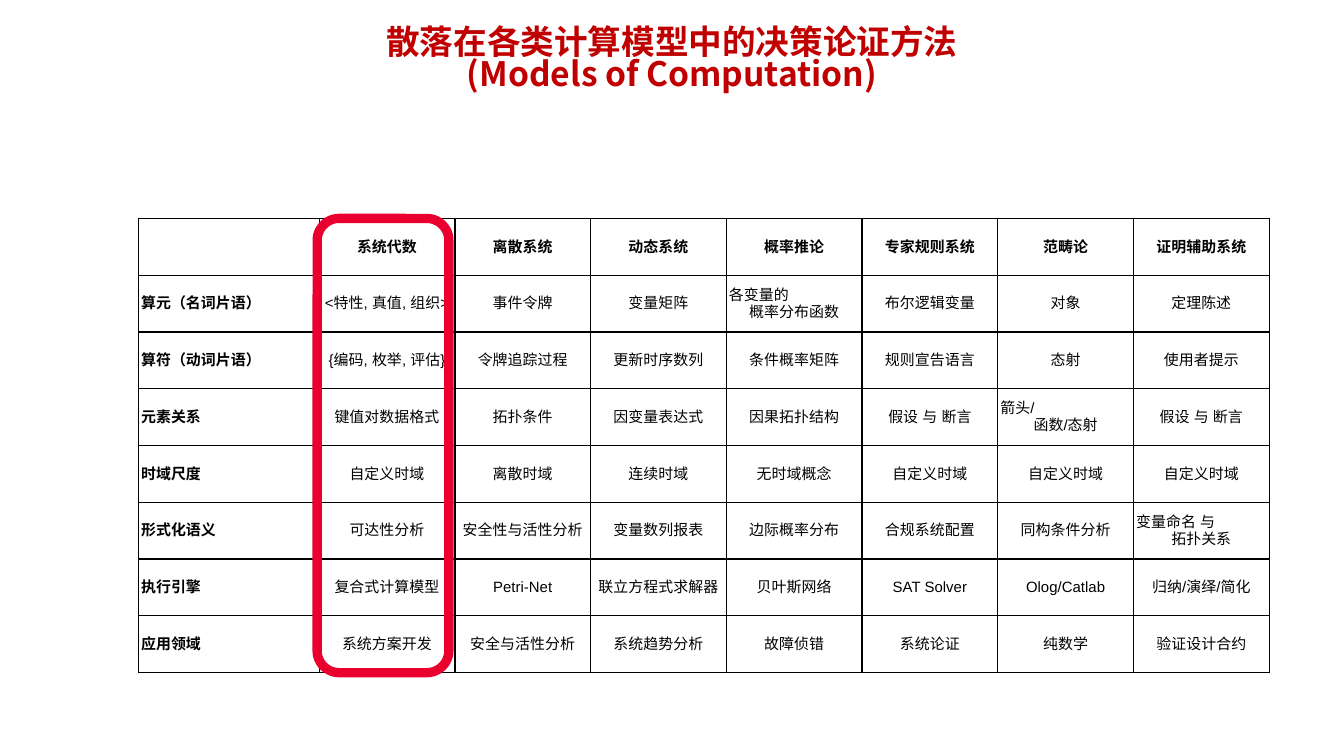
from dataclasses import dataclass

from lxml import etree
from pptx import Presentation
from pptx import util as u
from pptx.dml.color import RGBColor
from pptx.enum import shapes, text
from pptx.oxml import ns

PX = 4572


@dataclass(frozen=True)
class Theme:
    """Colours, fonts and type sizes of the slide."""

    title: str = "C00000"
    ink: str = "000000"
    accent: str = "E9002F"
    title_font: str = "Noto Sans CJK SC"
    body_font: str = "Arial"
    title_size: int = 18
    body_size: int = 8
    border: float = 0.75
    frame: int = 5


THEME = Theme()

TITLE = "散落在各类计算模型中的决策论证方法\v(Models of Computation)"

MODELS = [
    ["", "系统代数", "离散系统", "动态系统", "概率推论", "专家规则系统", "范畴论", "证明辅助系统"],
    ["算元（名词片语）", "<特性, 真值, 组织>", "事件令牌", "变量矩阵", "各变量的\n概率分布函数",
     "布尔逻辑变量", "对象", "定理陈述"],
    ["算符（动词片语）", "{编码, 枚举, 评估}", "令牌追踪过程", "更新时序数列", "条件概率矩阵",
     "规则宣告语言", "态射", "使用者提示"],
    ["元素关系", "键值对数据格式", "拓扑条件", "因变量表达式", "因果拓扑结构",
     "假设 与 断言", "箭头/\n函数/态射", "假设 与 断言"],
    ["时域尺度", "自定义时域", "离散时域", "连续时域", "无时域概念",
     "自定义时域", "自定义时域", "自定义时域"],
    ["形式化语义", "可达性分析", "安全性与活性分析", "变量数列报表", "边际概率分布",
     "合规系统配置", "同构条件分析", "变量命名 与\n拓扑关系"],
    ["执行引擎", "复合式计算模型", "Petri-Net", "联立方程式求解器", "贝叶斯网络",
     "SAT Solver", "Olog/Catlab", "归纳/演绎/简化"],
    ["应用领域", "系统方案开发", "安全与活性分析", "系统趋势分析", "故障侦错",
     "系统论证", "纯数学", "验证设计合约"],
]


def scale(*lengths):
    """Turn px lengths into EMU."""
    return [u.Emu(length * PX) for length in lengths]


def set_font(paragraph, name, size, color, bold):
    """Set the font of a whole paragraph, East Asian glyphs included."""
    font = paragraph.font
    font.name, font.size, font.bold = name, u.Pt(size), bold
    font.color.rgb = RGBColor.from_string(color)
    latin = paragraph._p.find(".//" + ns.qn("a:latin"))
    east_asian = etree.Element(ns.qn("a:ea"), typeface=name)
    latin.addnext(east_asian)


def set_margins(holder, horizontal, vertical):
    """Set equal left and right, and equal top and bottom margins in px."""
    holder.margin_left, holder.margin_right = scale(horizontal, horizontal)
    holder.margin_top, holder.margin_bottom = scale(vertical, vertical)


def add_borders(cell):
    """Draw a solid line on all four sides of a cell."""
    properties = cell._tc.get_or_add_tcPr()
    for index, side in enumerate(("lnL", "lnR", "lnT", "lnB")):
        line = etree.Element(ns.qn(f"a:{side}"), w=str(u.Pt(THEME.border)))
        fill = etree.SubElement(line, ns.qn("a:solidFill"))
        etree.SubElement(fill, ns.qn("a:srgbClr"), val=THEME.ink)
        properties.insert(index, line)


def add_title(slide, left, top, width, height):
    """Place the centred two-line title."""
    frame = slide.shapes.add_textbox(*scale(left, top, width, height)).text_frame
    frame.word_wrap = True
    frame.vertical_anchor = text.MSO_ANCHOR.MIDDLE
    set_margins(frame, 26, 14)
    paragraph = frame.paragraphs[0]
    paragraph.text = TITLE
    paragraph.alignment = text.PP_ALIGN.CENTER
    paragraph.line_spacing = 0.8
    set_font(paragraph, THEME.title_font, THEME.title_size, THEME.title, True)


def fill_cell(cell, content, is_label, bold):
    """Write one cell; the lead line of a two-line cell stays left."""
    cell.fill.background()
    add_borders(cell)
    cell.vertical_anchor = text.MSO_ANCHOR.MIDDLE
    set_margins(cell, 4, 4)
    cell.text_frame.text = content
    paragraphs = cell.text_frame.paragraphs
    for paragraph in paragraphs:
        is_lead = paragraph is not paragraphs[-1]
        paragraph.alignment = (
            text.PP_ALIGN.LEFT if is_label or is_lead else text.PP_ALIGN.CENTER
        )
        set_font(paragraph, THEME.body_font, THEME.body_size, THEME.ink, bold)


def add_model_table(slide, left, top, width, height):
    """Place the table of models and frame its first model column."""
    label_width = 269
    model_count = len(MODELS[0]) - 1
    model_width = (width - label_width) // model_count
    table = slide.shapes.add_table(
        len(MODELS), model_count + 1, *scale(left, top, width, height)
    ).table
    table.first_row = table.horz_banding = False
    widths = scale(label_width, *[model_width] * model_count)
    for column, column_width in zip(table.columns, widths):
        column.width = column_width
    for row, contents in enumerate(MODELS):
        for column, content in enumerate(contents):
            is_label = column == 0
            fill_cell(table.cell(row, column), content, is_label, is_label or row == 0)
    add_highlight(slide, left + label_width - 3, top, model_width - 6, height)


def add_highlight(slide, left, top, width, height):
    """Place the rounded outline around the highlighted column."""
    outline = slide.shapes.add_shape(
        shapes.MSO_SHAPE.ROUNDED_RECTANGLE, *scale(left, top, width, height)
    )
    outline.shadow.inherit = False
    outline.fill.background()
    outline.line.color.rgb = RGBColor.from_string(THEME.accent)
    outline.line.width = u.Pt(THEME.frame)


def main():
    """Build and save the slide."""
    presentation = Presentation()
    presentation.slide_width, presentation.slide_height = scale(2000, 1125)
    slide = presentation.slides.add_slide(presentation.slide_layouts[6])
    add_title(slide, 100, 52, 1800, 76)
    add_model_table(slide, 206, 325, 1683, 676)
    presentation.save("out.pptx")


if __name__ == "__main__":
    main()
